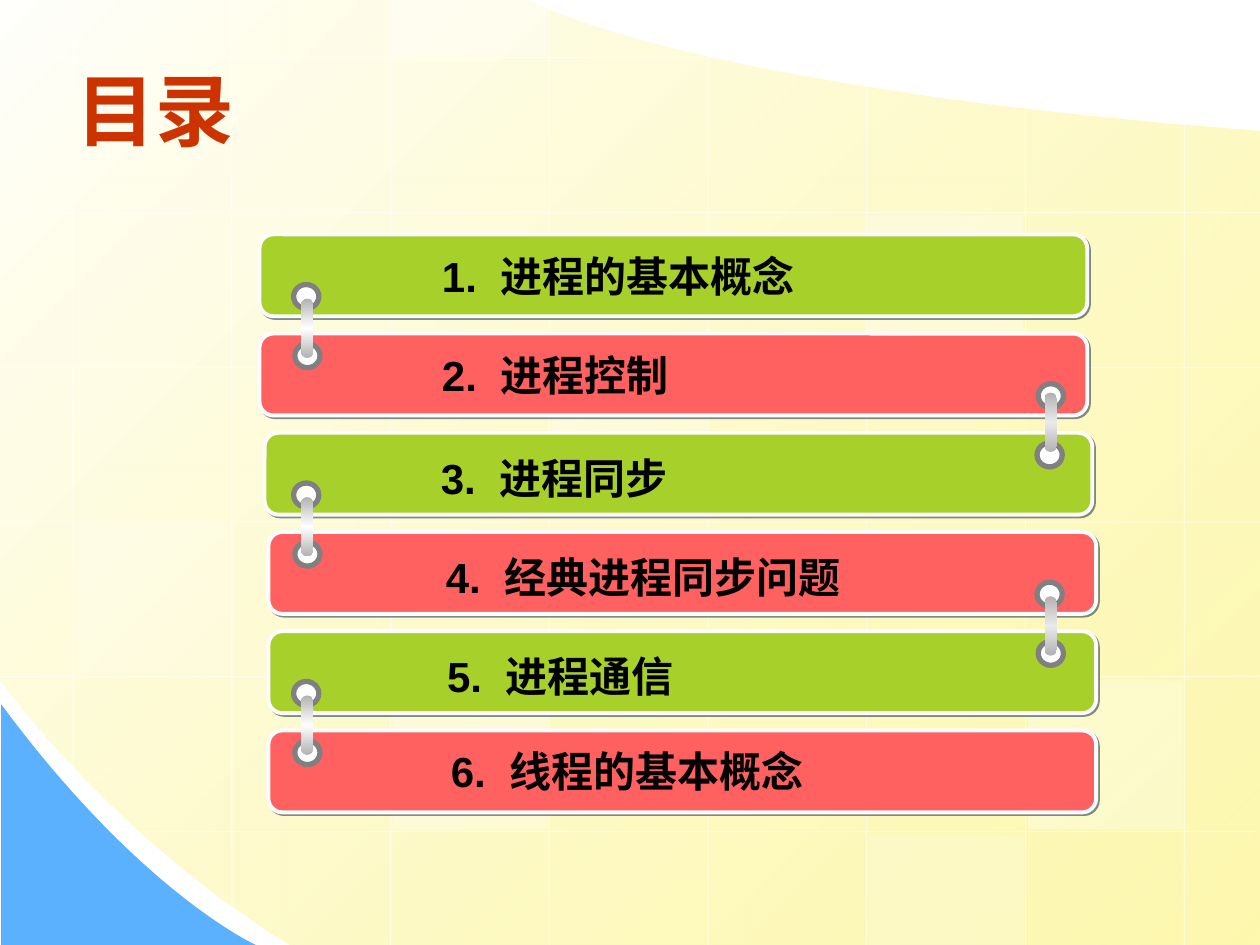
from lxml import etree
from pptx import Presentation
from pptx.dml.color import RGBColor
from pptx.enum.shapes import MSO_CONNECTOR, MSO_SHAPE
from pptx.enum.text import MSO_ANCHOR
from pptx.oxml import parse_xml
from pptx.oxml.ns import nsdecls, qn
from pptx.util import Pt

RECTANGLE, ROUNDED, OVAL = MSO_SHAPE.RECTANGLE, MSO_SHAPE.ROUNDED_RECTANGLE, MSO_SHAPE.OVAL
STRAIGHT, MIDDLE, TOP = MSO_CONNECTOR.STRAIGHT, MSO_ANCHOR.MIDDLE, MSO_ANCHOR.TOP
WHITE, BLACK = RGBColor(255, 255, 255), RGBColor(0, 0, 0)
CREAM, YELLOW = RGBColor(0xFF, 0xFF, 0xFB), RGBColor(0xFD, 0xF5, 0x8D)
BLUE, TITLE_RED = RGBColor(0x5C, 0xB1, 0xFE), RGBColor(0xCC, 0x33, 0x00)
GREEN, CORAL = RGBColor(0xA8, 0xD0, 0x2A), RGBColor(0xFF, 0x61, 0x61)
EDGE, NAVY = RGBColor(0xFC, 0xFC, 0xFC), RGBColor(0x00, 0x1D, 0x3A)
GREY, SILVER = RGBColor(0x80, 0x80, 0x80), RGBColor(0xB2, 0xB2, 0xB2)
PALE = RGBColor(0xEA, 0xEA, 0xEA)
WIDTH, HEIGHT = 720, 540

VERTICALS = [(0, 438.5), (0, 517.7), (0, 540), (0, 540),
             (31, 540), (49, 540), (61.2, 540), (70.6, 540)]
HORIZONTALS = [(0, 409), (0, 720), (0, 720), (0, 720), (0, 720), (80, 718)]
TILES = [(315.4, 211.7, 85, 25), (587.5, 388.8, 85, 30), (43.2, 299.5, 85, 20),
         (496.8, 477.4, 62.6, 20), (223.9, 0, 31.7, 40), (224.6, 388.8, 85, 30),
         (496.1, 123.1, 85, 30)]
TOPICS = [("进程的基本概念", 148.3, 209.5, 5.8), ("进程控制", 148.3, 209.5, 5.8),
          ("进程同步", 151.2, 208.8, 7.9), ("经典进程同步问题", 153.4, 211.7, 7.9),
          ("进程通信", 153.4, 212.4, 7.2), ("线程的基本概念", 153.4, 214.6, 5)]
ROW_TOP, ROW_STEP = 133.9, 56.7
LINKS = [(167.8, 168.5, 8), (593.3, 592.6, 5), (167.8, 168.5, 8),
         (592.6, 593.3, 8), (167.8, 168.5, 8)]


def curve(start, first, second, end, steps=40):
    """Return points along a cubic curve."""
    points = []
    for step in range(steps + 1):
        t = step / steps
        weights = ((1 - t) ** 3, 3 * t * (1 - t) ** 2, 3 * t * t * (1 - t), t ** 3)
        points.append(tuple(sum(w * p[axis] for w, p in zip(weights, (start, first, second, end)))
                            for axis in (0, 1)))
    return points


class Painter:
    """Draw styled elements on one slide."""

    def __init__(self, page, font):
        """Keep the slide and the font name."""
        self.page = page
        self.font = font

    def fade(self, fill, opacity):
        """Set the opacity of a solid fill in percent."""
        color = fill._xPr.find(qn("a:solidFill"))[0]
        etree.SubElement(color, qn("a:alpha")).set("val", str(opacity * 1000))

    def gradient(self, shape, stops, angle):
        """Fill a shape with (position, colour, opacity) stops."""
        marks = "".join(
            f'<a:gs pos="{position * 1000}"><a:srgbClr val="{color}">'
            f'<a:alpha val="{opacity * 1000}"/></a:srgbClr></a:gs>'
            for position, color, opacity in stops)
        shape.fill.background()
        properties = shape._element.spPr
        properties.replace(properties.find(qn("a:noFill")), parse_xml(
            f'<a:gradFill {nsdecls("a")} rotWithShape="1"><a:gsLst>{marks}</a:gsLst>'
            f'<a:lin ang="{angle * 60000}" scaled="0"/></a:gradFill>'))

    def cast_shadow(self, properties, color, distance):
        """Append a diagonal half-transparent shadow."""
        for effects in properties.findall(qn("a:effectLst")):
            properties.remove(effects)
        properties.append(parse_xml(
            f'<a:effectLst {nsdecls("a")}><a:outerShdw dist="{Pt(distance)}" dir="2700000" '
            f'algn="ctr" rotWithShape="0"><a:srgbClr val="{color}"><a:alpha val="50000"/>'
            '</a:srgbClr></a:outerShdw></a:effectLst>'))

    def outline(self, points, fill=None):
        """Draw a closed outline through points."""
        places = [(Pt(x), Pt(y)) for x, y in points]
        builder = self.page.shapes.build_freeform(*places[0], scale=1.0)
        builder.add_line_segments(places[1:], close=True)
        return self.finish(builder.convert_to_shape(), fill)

    def shape(self, kind, left, top, width, height, fill=None, line=None, weight=0):
        """Draw a preset shape."""
        shape = self.page.shapes.add_shape(kind, Pt(left), Pt(top), Pt(width), Pt(height))
        return self.finish(shape, fill, line, weight)

    def finish(self, shape, fill=None, line=None, weight=0):
        """Apply fill and line without a theme shadow."""
        shape.shadow.inherit = False
        if fill is not None:
            shape.fill.solid()
            shape.fill.fore_color.rgb = fill
        if line is None:
            shape.line.fill.background()
        else:
            shape.line.color.rgb = line
            shape.line.width = Pt(weight)
        return shape

    def grid_line(self, *ends):
        """Draw a half-transparent white line."""
        line = self.page.shapes.add_connector(STRAIGHT, *map(Pt, ends))
        line.line.color.rgb = WHITE
        line.line.width = Pt(0.75)
        self.fade(line.line.fill, 50)
        etree.SubElement(line._element.spPr, qn("a:effectLst"))

    def text(self, left, top, width, height, spans, size, color, anchor, indent=0, shadow=False):
        """Write one paragraph of (text, extra spacing) spans."""
        box = self.page.shapes.add_textbox(Pt(left), Pt(top), Pt(width), Pt(height))
        frame = box.text_frame
        frame.word_wrap = True
        frame.vertical_anchor = anchor
        para = frame.paragraphs[0]
        para._p.get_or_add_pPr().set("marL", str(Pt(indent)))
        for words, spacing in spans:
            span = para.add_run()
            span.text = words
            span.font.size = Pt(size)
            span.font.bold = True
            span.font.color.rgb = color
            properties = span._r.get_or_add_rPr()
            if spacing:
                properties.set("spc", str(spacing))
            if shadow:
                self.cast_shadow(properties, GREY, 1.4)
            span.font.name = self.font

    def topic(self, number, words, left, text_left, text_drop, top, fill):
        """Draw one numbered bar."""
        bar = self.shape(ROUNDED, left, top, 473, 46.8, fill, EDGE, 2.25)
        bar.adjustments[0] = 0.17
        self.cast_shadow(bar._element.spPr, NAVY, 1.4)
        self.text(text_left, top + text_drop, 355, 36,
                  [(f"{number}.", 0), (" ", 667), (words, 0)], 24, BLACK, TOP, 36, True)

    def link(self, upper_left, lower_left, top, drop, middle):
        """Draw two rings joined by a metal rod."""
        for left, ring_top in ((upper_left, top), (lower_left, top + 33.8)):
            self.shape(OVAL, left, ring_top, 14.4, 13.7, WHITE, GREY, 3)
        rod = self.shape(ROUNDED, min(upper_left, lower_left) + 4.3, top + drop, 7, 34)
        rod.adjustments[0] = 0.5
        self.gradient(rod, [(0, SILVER, 100), (50, middle, 100), (100, SILVER, 100)], 90)


def main():
    """Build the contents slide."""
    deck = Presentation()
    deck.slide_width, deck.slide_height = Pt(WIDTH), Pt(HEIGHT)
    page = deck.slides.add_slide(deck.slide_layouts[6])
    painter = Painter(page, "Arial")

    backdrop = painter.outline(
        [(WIDTH, HEIGHT)] + curve((165.6, HEIGHT), (61.9, 475.9), (0, 388), (0, 388))
        + [(0, 0)] + curve((303, 0.5), (303, 0.5), (386.6, 49.7), (WIDTH, 75)))
    painter.gradient(backdrop, [(0, CREAM, 100), (100, YELLOW, 70)], 45)
    painter.outline([(0.7, HEIGHT)] + curve((146.2, HEIGHT), (146.2, HEIGHT),
                                            (80.6, 510.5), (0.7, 402.5)), BLUE)
    for column, (top, bottom) in enumerate(VERTICALS):
        x = 41.8 + 90.7 * column
        painter.grid_line(x, top, x, bottom)
    for row, (left, right) in enumerate(HORIZONTALS):
        y = 33.1 + 88.4 * row
        painter.grid_line(left, y, right, y)
    for left, top, height, opacity in TILES:
        tile = painter.shape(RECTANGLE, left, top, 88.6, height, WHITE)
        painter.fade(tile.fill, opacity)

    painter.text(36.7, 25.9, 648, 72.7, [("目录", 0)], 45, TITLE_RED, MIDDLE)
    for index, (words, left, text_left, text_drop) in enumerate(TOPICS):
        painter.topic(index + 1, words, left, text_left, text_drop,
                      ROW_TOP + ROW_STEP * index, CORAL if index % 2 else GREEN)
    for index, (upper_left, lower_left, drop) in enumerate(LINKS):
        painter.link(upper_left, lower_left, 162.6 + ROW_STEP * index, drop,
                     PALE if index % 2 else WHITE)
    deck.save("out.pptx")


if __name__ == "__main__":
    main()
